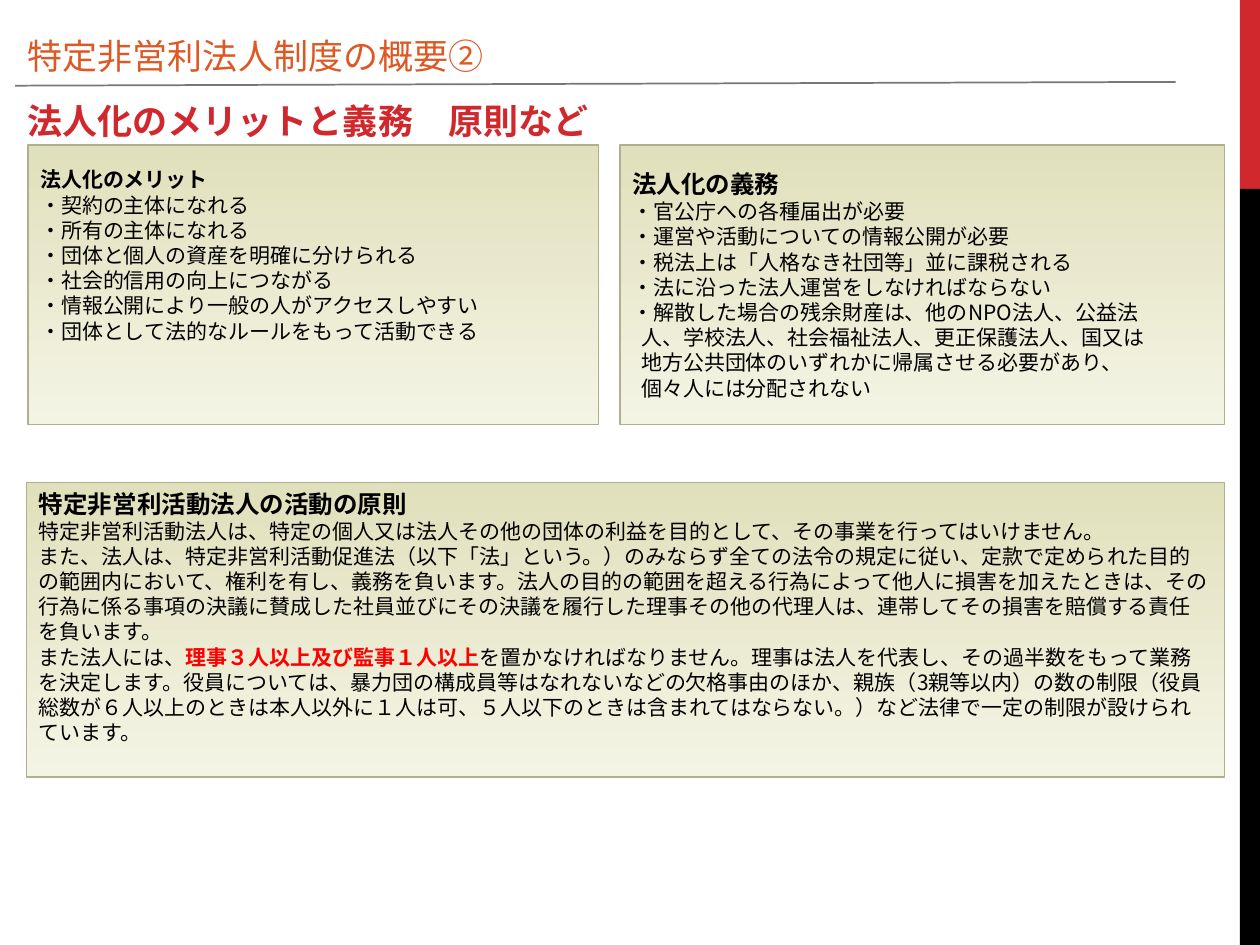
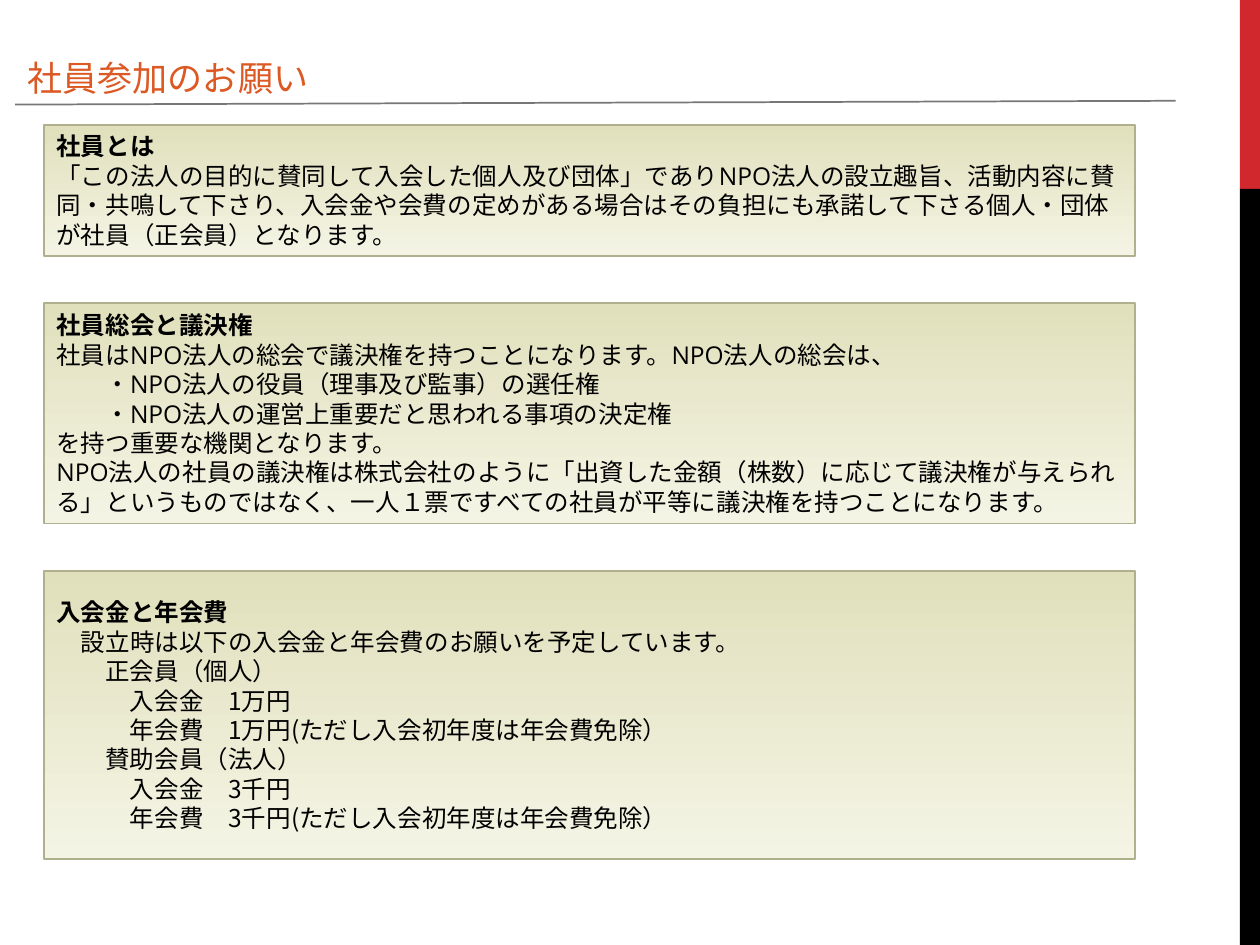
"""Build two slides on the rules of non-profit corporations and membership."""
import pptx
import pptx.dml.color
import pptx.enum.lang
import pptx.enum.shapes
import pptx.enum.text
import pptx.oxml.ns
import pptx.util
from lxml import etree

RGB = pptx.dml.color.RGBColor
RED = RGB(0xD1, 0x28, 0x2E)
ORANGE = RGB(0xDC, 0x59, 0x24)
ALERT = RGB(0xFF, 0x00, 0x00)
BLACK = RGB(0x00, 0x00, 0x00)
RULE = RGB(0x77, 0x77, 0x77)
BOX_EDGE = RGB(0xB1, 0xB0, 0x8E)
BOX_FILL = (RGB(0xF4, 0xF4, 0xE5), RGB(0xE1, 0xE0, 0xBC))

COLS, ROWS = 100, 75
CELL = pptx.util.Inches(0.1)
CJK, ARIAL, OPEN, MONT = "Noto Sans CJK JP", "Arial", "Open Sans", "Montserrat"
LINE_HEIGHT = 1.2
CONTINUED = 0.42
ANCHOR = pptx.enum.text.MSO_ANCHOR
RECT = pptx.enum.shapes.MSO_SHAPE.RECTANGLE

MERITS = [
    "・契約の主体になれる",
    "・所有の主体になれる",
    "・団体と個人の資産を明確に分けられる",
    "・社会的信用の向上につながる",
    "・情報公開により一般の人がアクセスしやすい",
    "・団体として法的なルールをもって活動できる",
]
DUTIES = [
    "・官公庁への各種届出が必要",
    "・運営や活動についての情報公開が必要",
    "・税法上は「人格なき社団等」並に課税される",
    "・法に沿った法人運営をしなければならない",
    "・解散した場合の残余財産は、他のNPO法人、公益法",
    (CONTINUED, "人、学校法人、社会福祉法人、更正保護法人、国又は"),
    (CONTINUED, "地方公共団体のいずれかに帰属させる必要があり、"),
    (CONTINUED, "個々人には分配されない"),
]
PRINCIPLES = [
    "特定非営利活動法人は、特定の個人又は法人その他の団体の利益を目的として、その事業を行ってはいけません。",
    "また、法人は、特定非営利活動促進法（以下「法」という。）のみならず全ての法令の規定に従い、"
    "定款で定められた目的の範囲内において、権利を有し、義務を負います。"
    "法人の目的の範囲を超える行為によって他人に損害を加えたときは、"
    "その行為に係る事項の決議に賛成した社員並びにその決議を履行した理事その他の代理人は、"
    "連帯してその損害を賠償する責任を負います。",
    "また法人には、|理事３人以上及び監事１人以上|を置かなければなりません。"
    "理事は法人を代表し、その過半数をもって業務を決定します。"
    "役員については、暴力団の構成員等はなれないなどの欠格事由のほか、"
    "親族（3親等以内）の数の制限（役員総数が６人以上のときは本人以外に１人は可、"
    "５人以下のときは含まれてはならない。）など法律で一定の制限が設けられています。",
]
MEMBERS = [
    "「この法人の目的に賛同して入会した個人及び団体」でありNPO法人の設立趣旨、"
    "活動内容に賛同・共鳴して下さり、入会金や会費の定めがある場合は"
    "その負担にも承諾して下さる個人・団体が社員（正会員）となります。",
]
ASSEMBLY = [
    "社員はNPO法人の総会で議決権を持つことになります。NPO法人の総会は、",
    (2, "・NPO法人の役員（理事及び監事）の選任権"),
    (2, "・NPO法人の運営上重要だと思われる事項の決定権"),
    "を持つ重要な機関となります。",
    "NPO法人の社員の議決権は株式会社のように「出資した金額（株数）に応じて議決権が与えられる」"
    "というものではなく、一人１票ですべての社員が平等に議決権を持つことになります。",
]
FEES = [
    (1, "設立時は以下の入会金と年会費のお願いを予定しています。"),
    (2, "正会員（個人）"),
    (3, "入会金　1万円"),
    (3, "年会費　1万円(ただし入会初年度は年会費免除）"),
    (2, "賛助会員（法人）"),
    (3, "入会金　3千円"),
    (3, "年会費　3千円(ただし入会初年度は年会費免除）"),
]


def cells(*values):
    """Turn grid cells into lengths."""
    return [int(v * CELL) for v in values]


def apply(obj, **formats):
    """Set attributes from a dict of format values."""
    for name, value in formats.items():
        setattr(obj, name, value)


def set_frame(tf, anchor, bottom=0.5):
    """Format a text frame; the bottom inset is in grid cells."""
    side, edge, low = cells(1, 0.5, bottom)
    apply(tf, word_wrap=True, vertical_anchor=anchor,
          auto_size=pptx.enum.text.MSO_AUTO_SIZE.NONE,
          margin_left=side, margin_right=side, margin_top=edge, margin_bottom=low)


def add_run(p, text, size, font, color=BLACK, bold=False):
    """Add a run with Latin and East Asian fonts."""
    r = p.add_run()
    r.text = text
    apply(r.font, size=pptx.util.Pt(size), name=font, bold=bold,
          language_id=pptx.enum.lang.MSO_LANGUAGE_ID.JAPANESE)
    r.font.color.rgb = color
    ea = etree.Element(pptx.oxml.ns.qn("a:ea"), typeface=CJK)
    r.font._element.find(pptx.oxml.ns.qn("a:latin")).addnext(ea)


def set_paragraph(p, size, indent=0):
    """Left-align a paragraph; the indent is in characters."""
    apply(p, alignment=pptx.enum.text.PP_ALIGN.LEFT,
          line_spacing=pptx.util.Pt(size * LINE_HEIGHT))
    if indent:
        p._p.get_or_add_pPr().set("marL", str(pptx.util.Pt(size * indent)))


def add_heading(sp, box, text, font, color, bold=False):
    """Place a one-line heading in a title placeholder or text box."""
    apply(sp, **dict(zip(("left", "top", "width", "height"), cells(*box))))
    set_frame(sp.text_frame, ANCHOR.BOTTOM, 0.3)
    p = sp.text_frame.paragraphs[0]
    set_paragraph(p, 20)
    add_run(p, text, 20, font, color, bold)


def add_rule(slide, row):
    """Draw the slightly rising rule under the title."""
    cx = slide.shapes.add_connector(
        pptx.enum.shapes.MSO_CONNECTOR.STRAIGHT, *cells(1.2, row, 93.3, row - 0.3))
    cx.line.color.rgb = RULE
    cx.line.width = pptx.util.Pt(1)
    etree.SubElement(cx._element.spPr, pptx.oxml.ns.qn("a:effectLst"))


def add_box(slide, box, heading, body, font=CJK, head_font=CJK,
            size=14, head_size=14, anchor=ANCHOR.MIDDLE, bottom=0.5):
    """Add a shaded box with a bold heading and its paragraphs."""
    sp = slide.shapes.add_shape(RECT, *cells(*box))
    sp.shadow.inherit = False
    sp.fill.gradient()
    sp.fill.gradient_angle = 90
    for stop, color in zip(sp.fill.gradient_stops, BOX_FILL):
        stop.color.rgb = color
    sp.line.color.rgb = BOX_EDGE
    sp.line.width = pptx.util.Pt(1)
    tf = sp.text_frame
    set_frame(tf, anchor, bottom)
    p = tf.paragraphs[0]
    set_paragraph(p, head_size)
    add_run(p, heading, head_size, head_font, bold=True)
    for item in body:
        indent, text = item if isinstance(item, tuple) else (0, item)
        p = tf.add_paragraph()
        set_paragraph(p, size, indent)
        for i, part in enumerate(text.split("|")):
            strong = i % 2 == 1
            add_run(p, part, size, font, ALERT if strong else BLACK, strong)


def add_bands(prs, slide):
    """Draw the right-hand bands and move them to the slide master."""
    tree = prs.slide_master.element.cSld.spTree
    split = ROWS / 5
    for top, height, color in ((0, split, RED), (split, ROWS - split, BLACK)):
        sp = slide.shapes.add_shape(RECT, *cells(COLS - 1.6, top, 1.6, height))
        sp.shadow.inherit = False
        sp.fill.solid()
        sp.fill.fore_color.rgb = color
        sp.line.fill.background()
        tree.append(sp._element)


def add_slide(prs, title, box, rule_row):
    """Add a slide with its title and rule."""
    slide = prs.slides.add_slide(prs.slide_layouts[5])
    add_rule(slide, rule_row)
    add_heading(slide.shapes.title, box, title, ARIAL, ORANGE)
    return slide


def build_overview(prs):
    """Build the slide on merits, duties and principles."""
    slide = add_slide(prs, "特定非営利法人制度の概要②", (1.2, 1.6, 63.3, 4.8), 6.8)
    add_bands(prs, slide)
    add_box(slide, (2.2, 11.5, 45.3, 22.2), "法人化のメリット", MERITS,
            size=12, head_size=12, bottom=5.2)
    add_box(slide, (49.2, 11.5, 48, 22.2), "法人化の義務", DUTIES, size=12)
    add_heading(slide.shapes.add_textbox(0, 0, CELL, CELL), (1.2, 5, 63.3, 6.5),
                "法人化のメリットと義務　原則など", MONT, RED, True)
    add_box(slide, (2.1, 38.3, 95.1, 23.4), "特定非営利活動法人の活動の原則", PRINCIPLES,
            head_font=ARIAL, size=12, anchor=ANCHOR.TOP)


def build_membership(prs):
    """Build the slide on membership, voting rights and fees."""
    slide = add_slide(prs, "社員参加のお願い", (1.2, 1.7, 63.3, 6.4), 8.3)
    top, gap = 9.9, 3.75
    for height, heading, body, font, head_font in (
            (10.4, "社員とは", MEMBERS, OPEN, CJK),
            (17.5, "社員総会と議決権", ASSEMBLY, OPEN, OPEN),
            (22.9, "入会金と年会費", FEES, CJK, CJK)):
        add_box(slide, (3.5, top, 86.6, height), heading, body, font, head_font)
        top += height + gap


def main():
    """Build and save the presentation."""
    prs = pptx.Presentation()
    prs.slide_width, prs.slide_height = cells(COLS, ROWS)
    build_overview(prs)
    build_membership(prs)
    prs.save("out.pptx")


if __name__ == "__main__":
    main()
